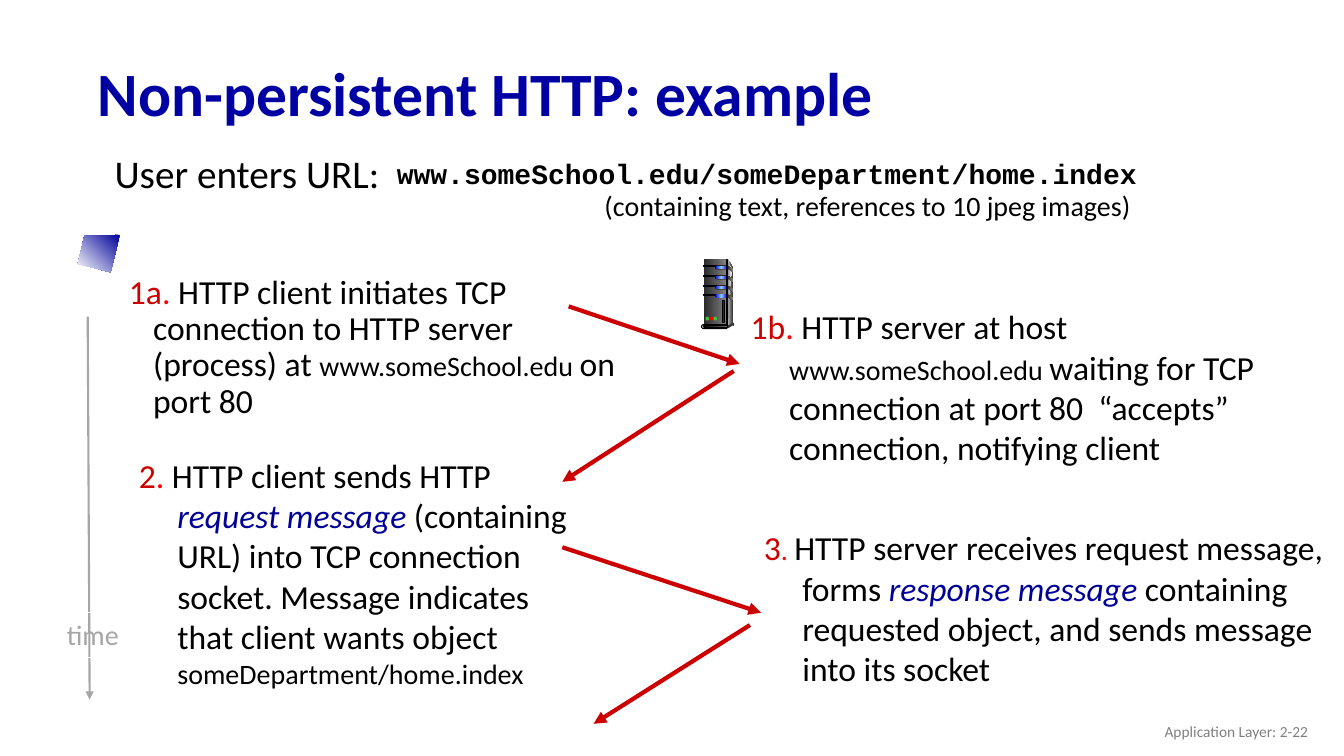
from copy import deepcopy
from pptx import Presentation
from pptx.dml.color import RGBColor
from pptx.enum.shapes import MSO_CONNECTOR, MSO_SHAPE
from pptx.enum.text import MSO_ANCHOR, MSO_AUTO_SIZE, PP_ALIGN
from pptx.oxml.ns import qn
from pptx.oxml.xmlchemy import OxmlElement
from pptx.util import Cm, Pt

RECTANGLE, ROUNDED, OVAL = MSO_SHAPE.RECTANGLE, MSO_SHAPE.ROUNDED_RECTANGLE, MSO_SHAPE.OVAL
STRAIGHT = MSO_CONNECTOR.STRAIGHT
LEFT, CENTER, RIGHT = PP_ALIGN.LEFT, PP_ALIGN.CENTER, PP_ALIGN.RIGHT
TOP, MIDDLE = MSO_ANCHOR.TOP, MSO_ANCHOR.MIDDLE

COLORS = {
    "title": "0000A3", "text": "000000", "number": "CC0000", "dot": "FF0000",
    "term": "000099", "time": "A6A6A6", "footer": "808080", "white": "FFFFFF",
    "dark": "292929", "shade": "333333", "mid": "808080", "light": "DDDDDD",
    "pale": "F8F8F8", "blue": "0000FF", "sky": "99CCFF", "green": "33CC33",
}

# Content: a run is (text, changes to the box's format); boxes are left, top, width, height in cm
NUMBER, DOT = {"color": "number"}, {"color": "dot"}
TERM, SMALL = {"color": "term", "italic": True}, {"size": 20}
TITLE = "Non-persistent HTTP: example"
STEP_1A = [("1a", NUMBER), (".", DOT),
           (" HTTP client initiates TCP connection to HTTP server (process) at ", {}),
           ("www.someSchool.edu ", SMALL), ("on port 80", {})]
STEP_1B = [("1b", NUMBER), (".", DOT), (" HTTP server at host ", {}),
           ("www.someSchool.edu ", SMALL),
           ("waiting for TCP connection at port 80  “accepts” connection, notifying client", {})]
STEP_2 = [("2", NUMBER), (".", DOT), (" HTTP client sends HTTP ", {}), ("request message", TERM),
          (" (containing URL) into TCP connection socket. Message indicates that client wants object ", {}),
          ("someDepartment/home.index", SMALL)]
STEP_3 = [("3", NUMBER), (". ", {**DOT, **SMALL}),
          ("HTTP server receives request message, forms ", {}), ("response message", TERM),
          (" containing requested object, and sends message into its socket", {})]
BULLET = {"margin": 0.99, "indent": -0.61, "spacing": 0.9, "before": 10}
HANGING = {"margin": 0.97, "indent": -0.97}
TEXTS = [
    ("User enters URL:", (2.26, 3.76, 22.07, 1.3), {"size": 28, **BULLET}),
    ("www.someSchool.edu/someDepartment/home.index", (9.75, 3.94, 22.07, 1.3),
     {"size": 20, "font": "Courier New", "bold": True, "spacing": 0.85, **HANGING}),
    ("(containing text, references to 10 jpeg images)", (13, 4.62, 17.73, 1.12),
     {"size": 20, "align": CENTER}),
    (STEP_1A, (2.62, 6.81, 13.46, 5.28), BULLET),
    (STEP_1B, (18.67, 7.59, 14.96, 4.19), HANGING),
    (STEP_2, (3.25, 11.33, 11.71, 3), HANGING),
    (STEP_3, (19, 13.16, 14.99, 5), HANGING),
    ("Application Layer: 2-22", (25.6, 17.91, 7.62, 1.02),
     {"size": 11, "color": "footer", "align": RIGHT, "anchor": MIDDLE}),
]
TIME_AXIS = (2.21, 7.98, 2.26, 17.63)
TIME_LABEL = (1.4, 15.44, 1.88, 1.12)
MESSAGES = [(14.33, 7.72, 18.64, 9.17), (18.49, 9.35, 14.17, 12.14),
            (14.17, 13.79, 19.18, 15.44), (18.9, 15.75, 14.96, 18.24)]
CLIENT = [(3.02, 5.92), (2.13, 5.94), (1.96, 6.65), (2.79, 6.86)]
BAY_TOPS = [6.7, 6.95, 7.2, 7.42]

presentation = Presentation()
presentation.slide_width, presentation.slide_height = Cm(33.87), Cm(19.05)
slide = presentation.slides.add_slide(presentation.slide_layouts[5])


def rgb(name):
    return RGBColor.from_string(COLORS[name])


def place(shape, box):
    shape.left, shape.top, shape.width, shape.height = map(Cm, box)


def add_text(shape, text, size=24, color="text", font="Calibri", bold=False, italic=False,
             align=LEFT, anchor=TOP, margin=0, indent=0, spacing=1, before=0, wrap=True):
    frame = shape.text_frame
    frame.auto_size, frame.word_wrap, frame.vertical_anchor = MSO_AUTO_SIZE.NONE, wrap, anchor
    paragraph = frame.paragraphs[0]
    paragraph.alignment, paragraph.line_spacing = align, spacing
    paragraph.space_before = Pt(before)
    properties = paragraph._p.get_or_add_pPr()
    properties.set("marL", str(Cm(margin)))
    properties.set("indent", str(Cm(indent)))
    for words, changes in [(text, {})] if isinstance(text, str) else text:
        run = paragraph.add_run()
        run.text = words
        run.font.name, run.font.bold = font, bold
        run.font.size = Pt(changes.get("size", size))
        run.font.italic = changes.get("italic", italic)
        run.font.color.rgb = rgb(changes.get("color", color))


def paint(shape, fill=(), line=None, angle=0):
    """No colour: no fill; one: solid; two or three: evenly spaced gradient."""
    shape.shadow.inherit = False
    if len(fill) > 1:
        shape.fill.gradient()
        shape.fill.gradient_angle = angle
        stops = shape._element.spPr.find(qn("a:gradFill")).find(qn("a:gsLst"))
        for _ in fill[2:]:
            stops.append(deepcopy(stops[0]))
        for index, (stop, name) in enumerate(zip(shape.fill.gradient_stops, fill)):
            stop.position = index / (len(fill) - 1)
            stop.color.rgb = rgb(name)
    elif fill:
        shape.fill.solid()
        shape.fill.fore_color.rgb = rgb(fill[0])
    else:
        shape.fill.background()
    if line:
        shape.line.color.rgb = rgb(line)
        shape.line.width = Pt(0.75)
    else:
        shape.line.fill.background()


def add_block(kind, box, *fill, line=None):
    shape = slide.shapes.add_shape(kind, *map(Cm, box))
    if kind == ROUNDED:
        shape.adjustments[0] = 0.5
    paint(shape, fill, line)
    return shape


def add_outline(points, *fill, angle=0):
    corners = [(Cm(x), Cm(y)) for x, y in points]
    builder = slide.shapes.build_freeform(*corners[0], scale=1)
    builder.add_line_segments(corners[1:], close=True)
    paint(builder.convert_to_shape(), fill, angle=angle)


def add_arrow(ends, color, width):
    connector = slide.shapes.add_connector(STRAIGHT, *map(Cm, ends))
    connector.line.color.rgb = rgb(color)
    connector.line.width = Pt(width)
    head = OxmlElement("a:tailEnd")
    head.set("type", "triangle")
    connector.line._get_or_add_ln().append(head)
    connector._element.spPr.append(OxmlElement("a:effectLst"))


# Title and time axis
title = slide.shapes.title
place(title, (2.21, 1.19, 29.21, 2.49))
add_text(title, TITLE, size=44, color="title", bold=True, anchor=MIDDLE, spacing=0.9)
add_arrow(TIME_AXIS, "time", 1.5)
time_label = add_block(RECTANGLE, TIME_LABEL, line="white")
add_text(time_label, "time", size=20, color="time", align=CENTER, wrap=False)

# Text and messages
for text, box, text_format in TEXTS:
    add_text(slide.shapes.add_textbox(*map(Cm, box)), text, **text_format)
for message in MESSAGES:
    add_arrow(message, "number", 3)

# Client
add_outline(CLIENT, "term", "white", angle=225)

# Server case
add_outline([(18.34, 6.53), (18.47, 6.73), (18.47, 8.15), (18.31, 8.23)], "light", "shade")
add_block(RECTANGLE, (17.73, 6.53, 0.58, 1.7), "dark", "mid")
add_outline([(18.34, 6.63), (18.44, 6.76), (18.37, 7.5), (18.34, 8.18)], "mid", "pale")

# Drive bays: slot, lamp and side vent
for top in BAY_TOPS:
    add_block(RECTANGLE, (17.73, top, 0.33, 0.02), "text", line="text")
    add_block(ROUNDED, (18.02, top - 0.01, 0.33, 0.1), "text")
    add_block(ROUNDED, (18.03, top, 0.3, 0.08), "blue", "sky", "blue")
    add_outline([(18.34, top), (18.47, top + 0.08), (18.47, top + 0.15), (18.33, top + 0.06)],
                "dark", "mid")

# Server edge, base and status lights
add_block(RECTANGLE, (18.31, 6.53, 0.03, 1.7), "shade", "light", "shade", line="text")
add_block(OVAL, (18.47, 8.13, 0.03, 0.08), "shade")
add_outline([(18.34, 8.2), (18.34, 8.28), (18.47, 8.2), (18.47, 8.15)], "shade")
add_block(ROUNDED, (17.68, 8.18, 0.66, 0.1), "light", line="text")
add_block(ROUNDED, (17.73, 8.2, 0.61, 0.05), "text", "mid", line="text")
for index, light in enumerate(["green", "dot", "green"]):
    add_block(OVAL, (17.78 + 0.1 * index, 7.98, 0.09, 0.1), light)
add_block(RECTANGLE, (18.21, 7.57, 0.05, 0.56), "dark", line="text")

presentation.save("out.pptx")
